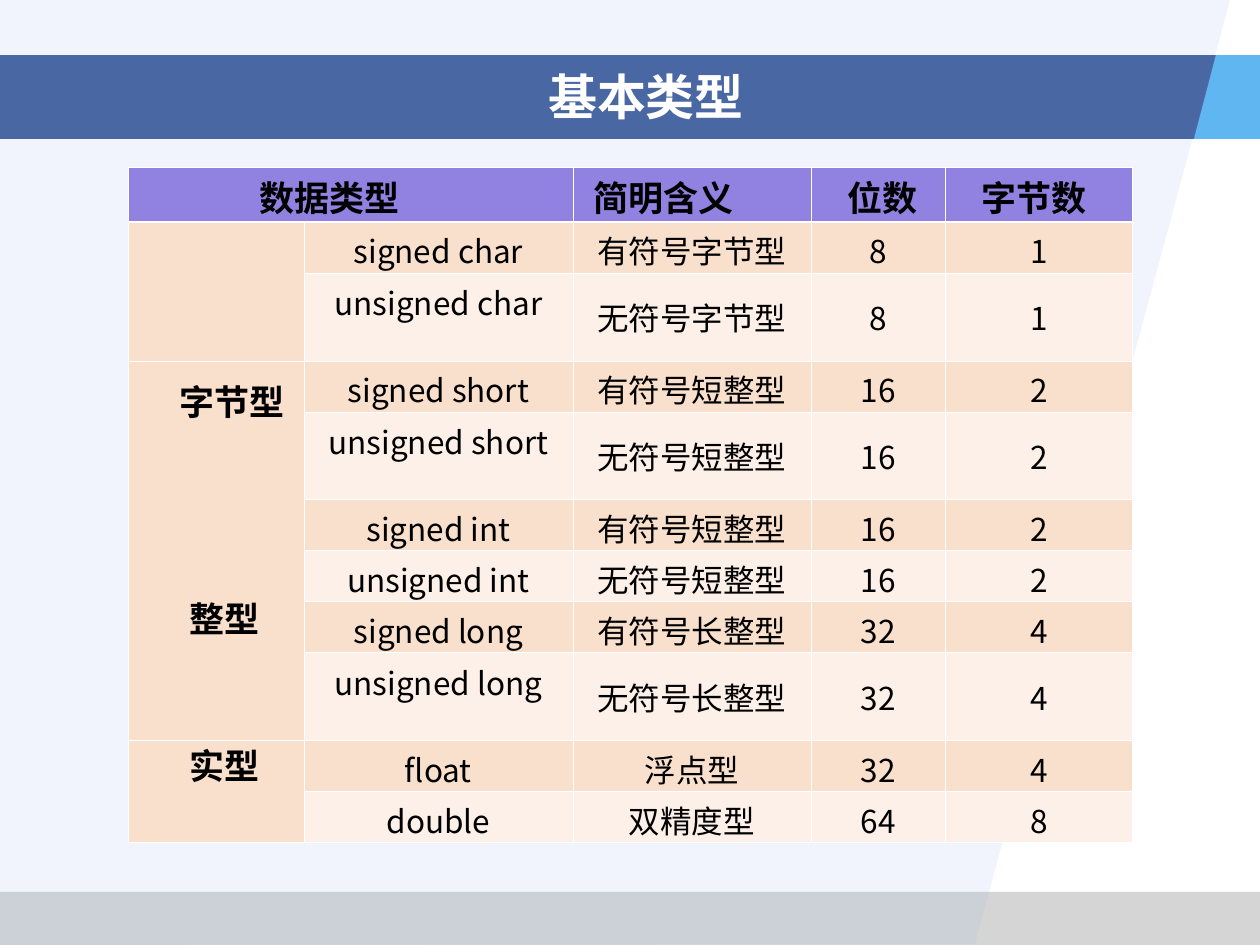
import pptx
import pptx.dml.color
import pptx.enum.shapes
import pptx.enum.text
import pptx.oxml.ns
import pptx.util
from lxml import etree

PX = 914400 // 126
COLORS = {
    "white": "FFFFFF", "black": "000000", "footer": "969696", "panel": "94B1EC",
    "title_bar": "173D89", "accent": "5FB6F1",
    "header": "9181E1", "dark_row": "F9E0CD", "light_row": "FCF0E8",
}
LATIN_FONT = "Lato"
CJK_FONT = "Noto Sans CJK SC"
ANCHOR = pptx.enum.text.MSO_ANCHOR
ALIGN = pptx.enum.text.PP_ALIGN

COLUMN_WIDTHS = [176, 269, 238, 135, 187]
HEADER_HEIGHT, SHORT_ROW, TALL_ROW = 55, 51, 88
HEADER_MARGIN, SHORT_ROW_MARGIN = 4, 5
HEADERS = [(0, "数据类型", 119), (2, "简明含义", 8), (3, "位数", 24), (4, "字节数", 23)]
TYPES = [
    ("signed char", "有符号字节型", 8, 1),
    ("unsigned char", "无符号字节型", 8, 1),
    ("signed short", "有符号短整型", 16, 2),
    ("unsigned short", "无符号短整型", 16, 2),
    ("signed int", "有符号短整型", 16, 2),
    ("unsigned int", "无符号短整型", 16, 2),
    ("signed long", "有符号长整型", 32, 4),
    ("unsigned long", "无符号长整型", 32, 4),
    ("float", "浮点型", 32, 4),
    ("double", "双精度型", 64, 8),
]
TALL_TYPES = {"unsigned char", "unsigned short", "unsigned long"}
GROUPS = [(1, 2), (3, 8), (9, 10)]


def px(length):
    return pptx.util.Emu(length * PX)


def add_xml(parent, tag, **attributes):
    return etree.SubElement(parent, pptx.oxml.ns.qn(tag), attributes)


def set_fill(target, color, opacity=100):
    target.fill.solid()
    target.fill.fore_color.rgb = pptx.dml.color.RGBColor.from_string(COLORS[color])
    if opacity < 100:
        color_element = target._element.spPr.find(".//" + pptx.oxml.ns.qn("a:srgbClr"))
        add_xml(color_element, "a:alpha", val=str(opacity * 1000))


def finish_shape(shape, color, opacity=100):
    set_fill(shape, color, opacity)
    shape.line.fill.background()
    shape.shadow.inherit = False


def add_bar(slide, left, top, width, height, color, opacity):
    bar = slide.shapes.add_shape(
        pptx.enum.shapes.MSO_SHAPE.RECTANGLE, px(left), px(top), px(width), px(height))
    finish_shape(bar, color, opacity)


def add_polygon(slide, points, color, opacity=100):
    builder = slide.shapes.build_freeform(*points[0], scale=PX)
    builder.add_line_segments(points[1:], close=True)
    finish_shape(builder.convert_to_shape(), color, opacity)


def write(text_frame, text, size, font, color="black", bold=False, align=ALIGN.LEFT):
    text_frame.text = text
    paragraph = text_frame.paragraphs[0]
    paragraph.alignment = align
    for run in paragraph.runs:
        run.font.size = pptx.util.Pt(size)
        run.font.name = font
        run.font.bold = bold
        run.font.color.rgb = pptx.dml.color.RGBColor.from_string(COLORS[color])
        add_xml(run.font._element, "a:ea", typeface=CJK_FONT)
    return paragraph


def set_borders(cell, widths):
    """Draw white cell borders; widths maps L, R, T and B to points."""
    properties = cell._tc.get_or_add_tcPr()
    for index, (side, width) in enumerate(widths.items()):
        line = etree.Element(pptx.oxml.ns.qn("a:ln" + side), w=str(pptx.util.Pt(width)))
        fill = add_xml(line, "a:solidFill")
        add_xml(fill, "a:srgbClr", val=COLORS["white"])
        properties.insert(index, line)


def add_background(slide, width, height):
    bar_top, bar_height, footer_top = 55, 84, 892
    add_bar(slide, 0, footer_top, width, height - footer_top, "footer", 40)
    add_polygon(slide, [(0, 0), (1230, 0), (975, height - 1), (0, height)], "panel", 13)
    add_bar(slide, 0, bar_top, width, bar_height, "title_bar", 77)
    bar_bottom = bar_top + bar_height
    add_polygon(slide, [(1216, bar_top), (1194, bar_bottom), (width, bar_bottom),
                        (width, bar_top)], "accent")


def add_title(slide, left, top, width, height):
    box = slide.shapes.add_textbox(px(left), px(top), px(width), px(height))
    frame = box.text_frame
    frame.word_wrap = True
    frame.vertical_anchor = ANCHOR.MIDDLE
    frame.margin_left = frame.margin_right = frame.margin_top = frame.margin_bottom = 0
    write(frame, "基本类型", 28, CJK_FONT, "white", True, ALIGN.CENTER)


def add_type_table(slide, left, top):
    heights = [HEADER_HEIGHT] + [
        TALL_ROW if name in TALL_TYPES else SHORT_ROW for name, *_ in TYPES]
    table = slide.shapes.add_table(
        len(heights), len(COLUMN_WIDTHS), px(left), px(top),
        px(sum(COLUMN_WIDTHS)), px(sum(heights))).table
    for column, width in zip(table.columns, COLUMN_WIDTHS):
        column.width = px(width)
    for row, height in zip(table.rows, heights):
        row.height = px(height)

    for row_index, height in enumerate(heights):
        row_color = "dark_row" if row_index % 2 else "light_row"
        for column_index in range(len(COLUMN_WIDTHS)):
            cell = table.cell(row_index, column_index)
            color = "dark_row" if column_index == 0 else row_color
            set_fill(cell, "header" if row_index == 0 else color)
            set_borders(cell, {"L": 0.45, "R": 0.45,
                               "T": 1.47 if row_index == 1 else 0.45,
                               "B": 1.47 if row_index == 0 else 0.45})
            if height != TALL_ROW:
                cell.margin_top = px(HEADER_MARGIN if row_index == 0 else SHORT_ROW_MARGIN)
                cell.margin_bottom = 0

    table.cell(0, 0).merge(table.cell(0, 1))
    for first_row, last_row in GROUPS:
        table.cell(first_row, 0).merge(table.cell(last_row, 0))

    for column_index, text, indent in HEADERS:
        frame = table.cell(0, column_index).text_frame
        paragraph = write(frame, text, 20, LATIN_FONT, bold=True)
        paragraph._p.get_or_add_pPr().set("marL", str(px(indent)))
    for row_index, values in enumerate(TYPES, 1):
        for column_index, value in enumerate(values, 1):
            cell = table.cell(row_index, column_index)
            write(cell.text_frame, str(value), 18, CJK_FONT, align=ALIGN.CENTER)
            cell.vertical_anchor = ANCHOR.TOP if column_index == 1 else ANCHOR.MIDDLE


def add_group_label(slide, left, top, width, height, text):
    box = slide.shapes.add_textbox(px(left), px(top), px(width), px(height))
    box.text_frame.word_wrap = True
    write(box.text_frame, text, 20, LATIN_FONT, bold=True)


def main():
    presentation = pptx.Presentation()
    presentation.slide_width, presentation.slide_height = px(1260), px(945)
    slide = presentation.slides.add_slide(presentation.slide_layouts[6])
    add_background(slide, 1260, 945)
    add_type_table(slide, 128, 167)
    add_group_label(slide, 167, 374, 148, 55, "字节型")
    add_group_label(slide, 177, 591, 108, 55, "整型")
    add_group_label(slide, 177, 738, 118, 55, "实型")
    add_title(slide, 79, 57, 1134, 78)
    presentation.save("out.pptx")


if __name__ == "__main__":
    main()
